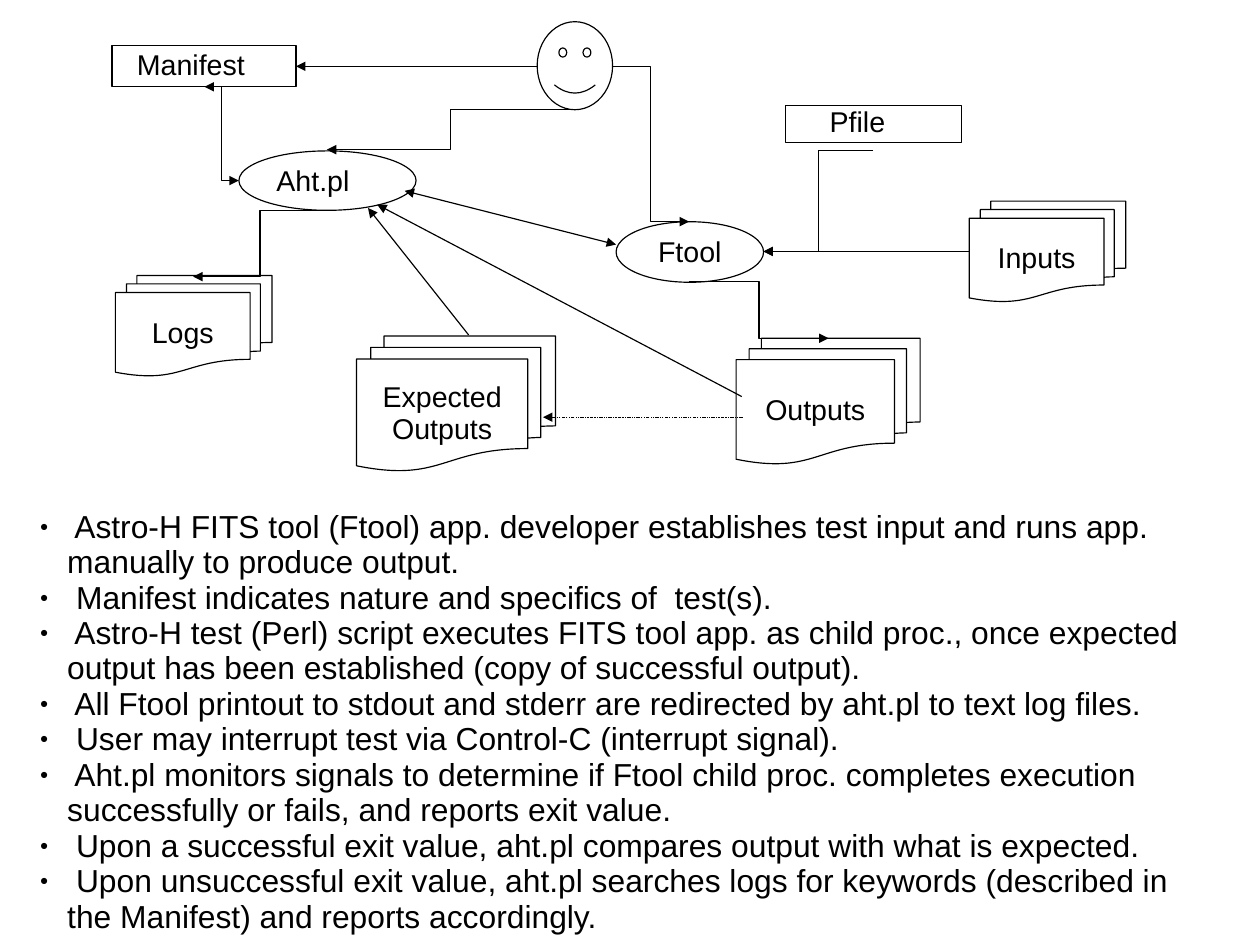
from dataclasses import dataclass
from typing import Optional

from lxml import etree
from pptx import Presentation
from pptx.dml.color import RGBColor
from pptx.enum.shapes import MSO_CONNECTOR, MSO_SHAPE
from pptx.enum.text import MSO_ANCHOR, PP_ALIGN
from pptx.oxml.ns import qn
from pptx.util import Inches, Pt

RECTANGLE = MSO_SHAPE.RECTANGLE
OVAL = MSO_SHAPE.OVAL
FACE = MSO_SHAPE.SMILEY_FACE
DOCUMENTS = MSO_SHAPE.FLOWCHART_MULTIDOCUMENT
STRAIGHT = MSO_CONNECTOR.STRAIGHT
ELBOW = MSO_CONNECTOR.ELBOW
CENTER, LEFT = PP_ALIGN.CENTER, PP_ALIGN.LEFT
MIDDLE, TOP = MSO_ANCHOR.MIDDLE, MSO_ANCHOR.TOP

# The page measures 28 by 21 centimetres
CM_PER_INCH = 2.54
PAGE_WIDTH, PAGE_HEIGHT = Inches(28 / CM_PER_INCH), Inches(21 / CM_PER_INCH)

COLORS = {"ink": "000000", "paper": "FFFFFF"}
FONT = "Arial"
LABEL_SIZE, BULLET_SIZE = 18, 20
LINE_WIDTH = 0.75
LINE_SPACING = 0.93
BULLET_INDENT = Inches(0.24)
LEFT_SIDE, RIGHT_SIDE = 1, 3


@dataclass
class Node:
    name: str
    kind: MSO_SHAPE
    left: float
    top: float
    width: float
    height: float
    text: str = ""


@dataclass
class Label:
    text: str
    left: float
    top: float
    width: float
    height: float


@dataclass
class Link:
    kind: MSO_CONNECTOR
    start: tuple[float, float]
    end: tuple[float, float]
    head: bool = False
    tail: bool = True
    dash: Optional[str] = None
    begin_node: Optional[str] = None
    end_node: Optional[str] = None


NODES = [
    Node("aht", OVAL, 2.09, 1.32, 1.55, 0.52),
    Node("ftool", OVAL, 5.39, 1.94, 1.29, 0.53, "Ftool"),
    Node("manifest", RECTANGLE, 0.98, 0.4, 1.61, 0.36),
    Node("pfile", RECTANGLE, 6.87, 0.92, 1.54, 0.33),
    Node("user", FACE, 4.7, 0.19, 0.66, 0.77),
    Node("logs", DOCUMENTS, 1.01, 2.41, 1.37, 0.88, "Logs"),
    Node("expected", DOCUMENTS, 3.12, 2.94, 1.74, 1.18, "Expected\nOutputs"),
    Node("outputs", DOCUMENTS, 6.44, 2.96, 1.61, 1.1, "Outputs"),
    Node("inputs", DOCUMENTS, 8.48, 1.76, 1.37, 0.88, "Inputs"),
]

LABELS = [
    Label("Manifest", 1.1, 0.37, 1.5, 0.46),
    Label("Pfile", 7.16, 0.87, 1.09, 0.45),
    Label("Aht.pl", 2.32, 1.38, 1.24, 0.46),
]

LINKS = [
    Link(ELBOW, (2.09, 1.58), (1.79, 0.76), head=True),
    Link(STRAIGHT, (4.7, 0.58), (2.59, 0.58), end_node="manifest"),
    Link(ELBOW, (2.86, 1.31), (5.03, 0.96), head=True, tail=False),
    Link(ELBOW, (5.36, 0.58), (6.03, 1.94)),
    Link(ELBOW, (7.64, 1.32), (6.68, 2.2)),
    Link(ELBOW, (2.86, 1.84), (1.69, 2.42)),
    Link(STRAIGHT, (8.48, 2.2), (6.68, 2.2), begin_node="inputs"),
    Link(ELBOW, (6.03, 2.46), (7.25, 2.96)),
    Link(STRAIGHT, (3.54, 1.67), (5.39, 2.14), head=True),
    Link(STRAIGHT, (6.5, 3.65), (4.75, 3.65), dash="sysDashDotDot"),
    Link(STRAIGHT, (6.49, 3.47), (3.3, 1.79)),
    Link(STRAIGHT, (4.1, 2.93), (3.22, 1.82)),
]

NOTES = Label("\n".join([
    " Astro-H FITS tool (Ftool) app. developer establishes test input and runs app. "
    "manually to produce output.",
    " Manifest indicates nature and specifics of  test(s).",
    " Astro-H test (Perl) script executes FITS tool app. as child proc., once expected "
    "output has been established (copy of successful output).",
    " All Ftool printout to stdout and stderr are redirected by aht.pl to text log files.",
    " User may interrupt test via Control-C (interrupt signal).",
    " Aht.pl monitors signals to determine if Ftool child proc. completes execution "
    "successfully or fails, and reports exit value.",
    " Upon a successful exit value, aht.pl compares output with what is expected.",
    " Upon unsuccessful exit value, aht.pl searches logs for keywords (described in "
    "the Manifest) and reports accordingly.",
]), 0.25, 4.39, 10.5, 3.84)


def color(name: str) -> RGBColor:
    return RGBColor.from_string(COLORS[name])


def add_bullet(para) -> None:
    properties = para._p.get_or_add_pPr()
    properties.set("marL", str(BULLET_INDENT))
    properties.set("indent", str(-BULLET_INDENT))
    bullet_color = etree.SubElement(properties, qn("a:buClr"))
    etree.SubElement(bullet_color, qn("a:srgbClr"), val=COLORS["ink"])
    etree.SubElement(properties, qn("a:buSzPct"), val="45000")
    etree.SubElement(properties, qn("a:buFont"), typeface=FONT)
    etree.SubElement(properties, qn("a:buChar"), char="●")


def write_text(shape, text: str, size: int, align, anchor, wrap: bool,
               bulleted: bool = False) -> None:
    frame = shape.text_frame
    frame.text = text
    frame.word_wrap = wrap
    frame.vertical_anchor = anchor
    frame.margin_left = frame.margin_right = Inches(0.1)
    frame.margin_top, frame.margin_bottom = Inches(0.07), Inches(0.05)
    for para in frame.paragraphs:
        if bulleted:
            add_bullet(para)
        para.alignment = align
        para.line_spacing = LINE_SPACING
        for span in para.runs:
            span.font.name = FONT
            span.font.size = Pt(size)
            span.font.color.rgb = color("ink")


def draw_node(page, node: Node):
    shape = page.shapes.add_shape(node.kind, Inches(node.left), Inches(node.top),
                                  Inches(node.width), Inches(node.height))
    shape.shadow.inherit = False
    shape.fill.background()
    shape.line.color.rgb = color("ink")
    shape.line.width = Pt(LINE_WIDTH)
    if node.text:
        write_text(shape, node.text, LABEL_SIZE, CENTER, MIDDLE, node.kind == OVAL)
    return shape


def draw_label(page, label: Label, size: int, bulleted: bool = False) -> None:
    box = page.shapes.add_textbox(Inches(label.left), Inches(label.top),
                                  Inches(label.width), Inches(label.height))
    write_text(box, label.text, size, LEFT, TOP, True, bulleted)


def draw_link(page, link: Link, shapes: dict) -> None:
    points = [Inches(value) for value in (*link.start, *link.end)]
    connector = page.shapes.add_connector(link.kind, *points)
    if link.begin_node:
        connector.begin_connect(shapes[link.begin_node], LEFT_SIDE)
    if link.end_node:
        connector.end_connect(shapes[link.end_node], RIGHT_SIDE)
    connector.line.color.rgb = color("ink")
    connector.line.width = Pt(LINE_WIDTH)
    line = connector.line._get_or_add_ln()
    if link.dash:
        etree.SubElement(line, qn("a:prstDash"), val=link.dash)
    for tag, shown in (("a:headEnd", link.head), ("a:tailEnd", link.tail)):
        if shown:
            etree.SubElement(line, qn(tag), type="triangle")
    etree.SubElement(connector._element.spPr, qn("a:effectLst"))


def main() -> None:
    deck = Presentation()
    deck.slide_width, deck.slide_height = PAGE_WIDTH, PAGE_HEIGHT
    page = deck.slides.add_slide(deck.slide_layouts[6])
    page.background.fill.solid()
    page.background.fill.fore_color.rgb = color("paper")

    # Flow diagram
    shapes = {node.name: draw_node(page, node) for node in NODES}
    for link in LINKS:
        draw_link(page, link, shapes)
    for label in LABELS:
        draw_label(page, label, LABEL_SIZE)

    # Explanation of the flow
    draw_label(page, NOTES, BULLET_SIZE, bulleted=True)
    deck.save("out.pptx")


if __name__ == "__main__":
    main()
